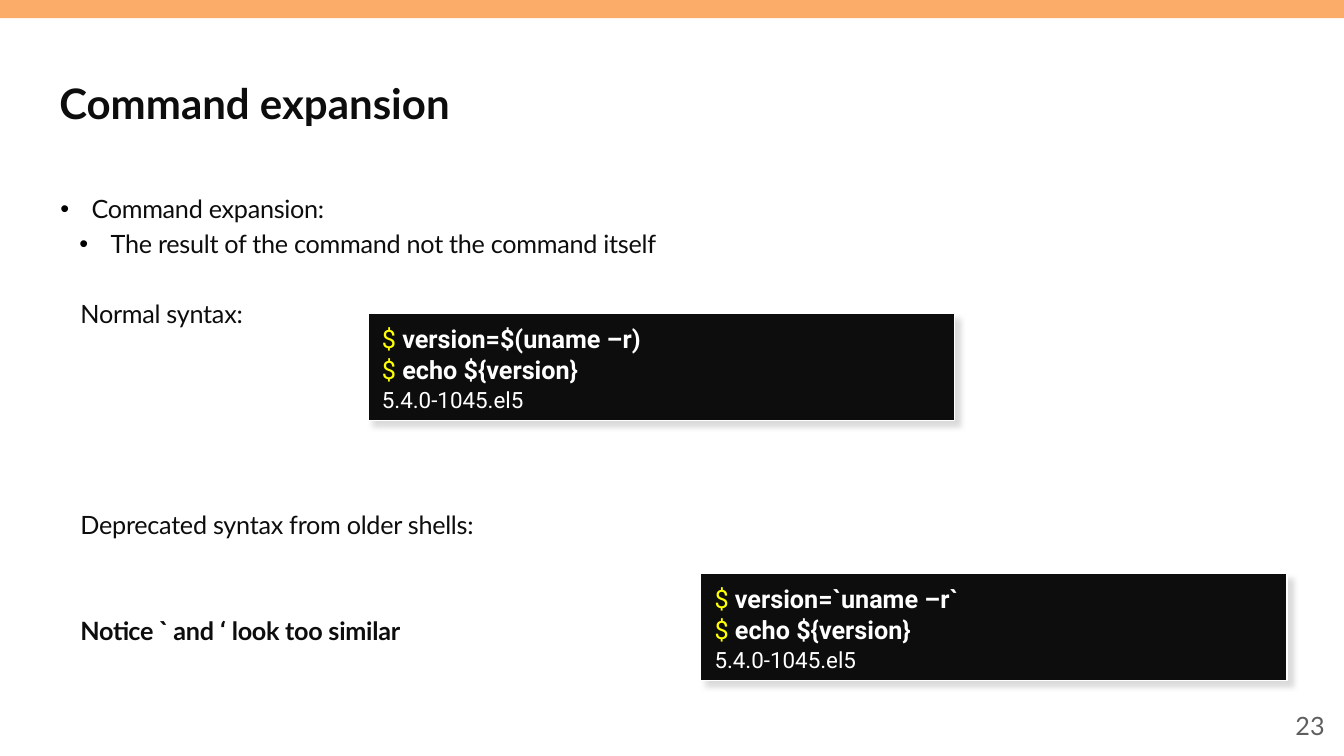
from lxml.etree import SubElement
from pptx import Presentation
from pptx.dml.color import RGBColor
from pptx.enum.shapes import MSO_SHAPE
from pptx.enum.text import MSO_ANCHOR, PP_ALIGN
from pptx.oxml.ns import qn
from pptx.util import Pt

COLORS = {"bar": "FCAC69", "ink": "0D0D0D", "bullet": "000000", "number": "5F5F5F",
          "white": "FFFFFF", "prompt": "FFFF00", "shadow": "DADADA"}


def rgb(name):
    return RGBColor.from_string(COLORS[name])


def add_run(p, text, color="ink", **fmt):
    r = p.add_run()
    r.text = text
    r.font.color.rgb = rgb(color)
    for name, value in ({"name": "Lato", "size": Pt(18), "bold": False} | fmt).items():
        setattr(r.font, name, value)
    return r


prs = Presentation()
prs.slide_width, prs.slide_height = Pt(960), Pt(540)
s = prs.slides.add_slide(prs.slide_layouts[6])

# Top bar
sp = s.shapes.add_shape(MSO_SHAPE.RECTANGLE, 0, 0, Pt(960), Pt(13))
sp.shadow.inherit = False
sp.fill.solid()
sp.fill.fore_color.rgb = rgb("bar")
sp.line.fill.background()

# Title and slide number
LABELS = [
    ("Command expansion", (35.3, 39.6, 890, 67.7), PP_ALIGN.LEFT, "ink",
     {"size": Pt(30), "bold": True}),
    ("23", (737.3, 504, 216, 28.8), PP_ALIGN.RIGHT, "number", {}),
]
for text, box, align, color, fmt in LABELS:
    tf = s.shapes.add_textbox(*map(Pt, box)).text_frame
    tf.word_wrap = True
    tf.vertical_anchor = MSO_ANCHOR.MIDDLE
    p = tf.paragraphs[0]
    p.alignment = align
    add_run(p, text, color, **fmt)

# Body: left margin, first-line indent, space before, runs
BODY = [
    (23, -22.3, 0, [("Command expansion:", {})]),
    (36.7, -22.3, 5.7, [("The result of the command not the command itself", {})]),
    (15.1, 0, 30.8, [("Normal syntax:", {})]),
    (15.1, 0, 131.4, [("Deprecated syntax from older shells:", {})]),
    (15.1, 0, 56, [("Notice ", {"bold": True}),
                   ("`", {"bold": True, "name": "Roboto"}),
                   (" and ", {"bold": True}),
                   ("‘", {"bold": True, "name": "Roboto"}),
                   (" look too similar", {"bold": True})]),
]
tf = s.shapes.add_textbox(Pt(35.3), Pt(136.8), Pt(890), Pt(342.7)).text_frame
tf.word_wrap = True
for i, (margin, indent, before, runs) in enumerate(BODY):
    p = tf.paragraphs[0] if i == 0 else tf.add_paragraph()
    p.line_spacing = 0.9
    p.space_before = Pt(before)
    pPr = p._p.get_or_add_pPr()
    pPr.set("marL", str(Pt(margin)))
    pPr.set("indent", str(Pt(indent)))
    if indent:
        clr = SubElement(pPr, qn("a:buClr"))
        SubElement(clr, qn("a:srgbClr"), val=COLORS["bullet"])
        SubElement(pPr, qn("a:buFont"), typeface="Arial")
        SubElement(pPr, qn("a:buChar"), char="•")
    for text, fmt in runs:
        r = add_run(p, text, **fmt)
        r._r.get_or_add_rPr().set("spc", "-20")

# Terminal boxes
TERMINALS = [(262.8, 223.9, "version=$(uname –r)"), (500.4, 409.7, "version=`uname –r`")]
for left, top, assignment in TERMINALS:
    sp = s.shapes.add_shape(MSO_SHAPE.RECTANGLE, Pt(left), Pt(top), Pt(419), Pt(76.3))
    sp.fill.solid()
    sp.fill.fore_color.rgb = rgb("ink")
    sp.line.color.rgb = rgb("white")
    sp.line.width = Pt(1)
    sp.shadow.inherit = False
    shadow = SubElement(sp._element.spPr.find(qn("a:effectLst")), qn("a:outerShdw"),
                        blurRad=str(Pt(4)), dist=str(Pt(5)), dir=str(45 * 60000),
                        algn="tl", rotWithShape="0")
    SubElement(shadow, qn("a:srgbClr"), val=COLORS["shadow"])
    tf = sp.text_frame
    tf.word_wrap = True
    tf.vertical_anchor = MSO_ANCHOR.TOP
    tf.margin_left = tf.margin_right = tf.margin_top = Pt(7.2)
    tf.margin_bottom = Pt(4.3)
    LINES = [
        [("$ ", "prompt", {}), (assignment, "white", {"bold": True})],
        [("$ ", "prompt", {}), ("echo ${version}", "white", {"bold": True})],
        [("5.4.0-1045.el5", "white", {"size": Pt(16)})],
    ]
    for i, runs in enumerate(LINES):
        p = tf.paragraphs[0] if i == 0 else tf.add_paragraph()
        p.alignment = PP_ALIGN.LEFT
        p._p.get_or_add_pPr().set("marL", str(Pt(2.9)))
        if i:
            p.space_before = Pt(0.6)
        for text, color, fmt in runs:
            add_run(p, text, color, name="Roboto", **fmt)

prs.save("out.pptx")
